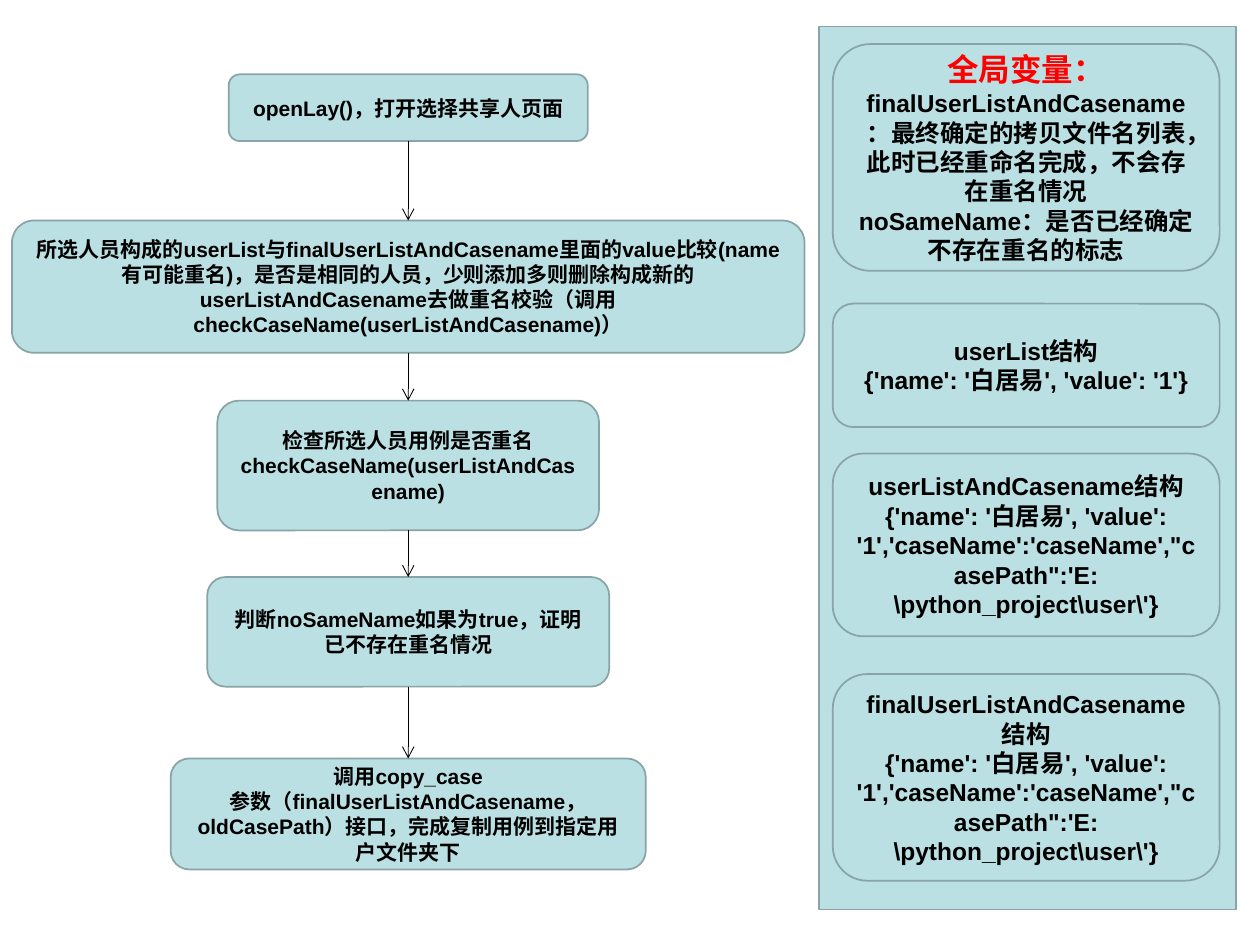
"""Build the case-sharing flowchart slide with its panel of global variables."""
import pptx
import pptx.dml.color
import pptx.enum.shapes
import pptx.enum.text
import pptx.util
import lxml.etree
import pptx.oxml.ns

Inches = pptx.util.Inches
Pt = pptx.util.Pt
RGBColor = pptx.dml.color.RGBColor
SHAPE = pptx.enum.shapes.MSO_SHAPE
qn = pptx.oxml.ns.qn

FILL = RGBColor(0xBB, 0xE0, 0xE3)
OUTLINE = RGBColor(0x89, 0xA4, 0xA7)
BLACK = RGBColor(0, 0, 0)
RED = RGBColor(0xFF, 0, 0)

FLOW_CENTER = 3.24
CASE_STRUCTURE = "{'name': '白居易', 'value': '1','caseName':'caseName',\"casePath\":'E:\\python_project\\user\\'}"

FLOW_STEPS = [
    (0.59, 2.85, 0.53, ["openLay()，打开选择共享人页面"]),
    (1.75, 6.29, 1.05, [
        "所选人员构成的userList与finalUserListAndCasename里面的value比较"
        "(name有可能重名)，是否是相同的人员，少则添加多则删除构成新的"
        "userListAndCasename去做重名校验（调用checkCaseName(userListAndCasename)）"]),
    (3.18, 3.03, 1.03, ["检查所选人员用例是否重名", "checkCaseName(userListAndCasename)"]),
    (4.58, 3.19, 0.87, ["判断noSameName如果为true，证明已不存在重名情况"]),
    (6.02, 3.77, 0.88, [
        "调用copy_case",
        "参数（finalUserListAndCasename，oldCasePath）接口，完成复制用例到指定用户文件夹下"]),
]

VARIABLES = [
    (0.35, 1.8, [
        [("全局变量：", 18, RED),
         ("finalUserListAndCasename：最终确定的拷贝文件名列表，此时已经重命名完成，不会存在重名情况", 14, BLACK)],
        [("noSameName：是否已经确定不存在重名的标志", 14, BLACK)]]),
    (2.41, 0.98, [
        [("userList结构", 14, BLACK)],
        [("{'name': '白居易', 'value': '1'}", 14, BLACK)]]),
    (3.6, 1.45, [
        [("userListAndCasename结构", 14, BLACK)],
        [(CASE_STRUCTURE, 14, BLACK)]]),
    (5.35, 1.64, [
        [("finalUserListAndCasename结构", 14, BLACK)],
        [(CASE_STRUCTURE, 14, BLACK)]]),
]


def add_box(s, kind, left, top, width, height, paragraphs=()):
    sp = s.shapes.add_shape(kind, Inches(left), Inches(top), Inches(width), Inches(height))
    sp.shadow.inherit = False
    sp.fill.solid()
    sp.fill.fore_color.rgb = FILL
    sp.line.color.rgb = OUTLINE
    sp.line.width = Pt(1)
    tf = sp.text_frame
    tf.word_wrap = True
    tf.vertical_anchor = pptx.enum.text.MSO_ANCHOR.MIDDLE
    for i, runs in enumerate(paragraphs):
        p = tf.paragraphs[0] if i == 0 else tf.add_paragraph()
        p.alignment = pptx.enum.text.PP_ALIGN.CENTER
        for text, size, color in runs:
            r = p.add_run()
            r.text = text
            r.font.name = "Arial"
            r.font.size = Pt(size)
            r.font.bold = True
            r.font.color.rgb = color
    return sp


def add_arrow(s, upper, lower):
    c = s.shapes.add_connector(pptx.enum.shapes.MSO_CONNECTOR.STRAIGHT, 0, 0, 0, 0)
    c.begin_connect(upper, 2)
    c.end_connect(lower, 0)
    c.line.color.rgb = BLACK
    c.line.width = Pt(0.5)
    ln = c.line._get_or_add_ln()
    lxml.etree.SubElement(ln, qn("a:tailEnd"), type="arrow")
    lxml.etree.SubElement(c._element.spPr, qn("a:effectLst"))


prs = pptx.Presentation()
prs.slide_width = Inches(10)
prs.slide_height = Inches(7.5)
s = prs.slides.add_slide(prs.slide_layouts[6])

steps = []
for top, width, height, lines in FLOW_STEPS:
    paragraphs = [[(line, 12, BLACK)] for line in lines]
    steps.append(add_box(s, SHAPE.ROUNDED_RECTANGLE, FLOW_CENTER - width / 2, top, width, height, paragraphs))

for upper, lower in zip(steps, steps[1:]):
    add_arrow(s, upper, lower)

add_box(s, SHAPE.RECTANGLE, 6.5, 0.21, 3.31, 7.01)
for top, height, paragraphs in VARIABLES:
    add_box(s, SHAPE.ROUNDED_RECTANGLE, 6.61, top, 3.07, height, paragraphs)

prs.save("out.pptx")
